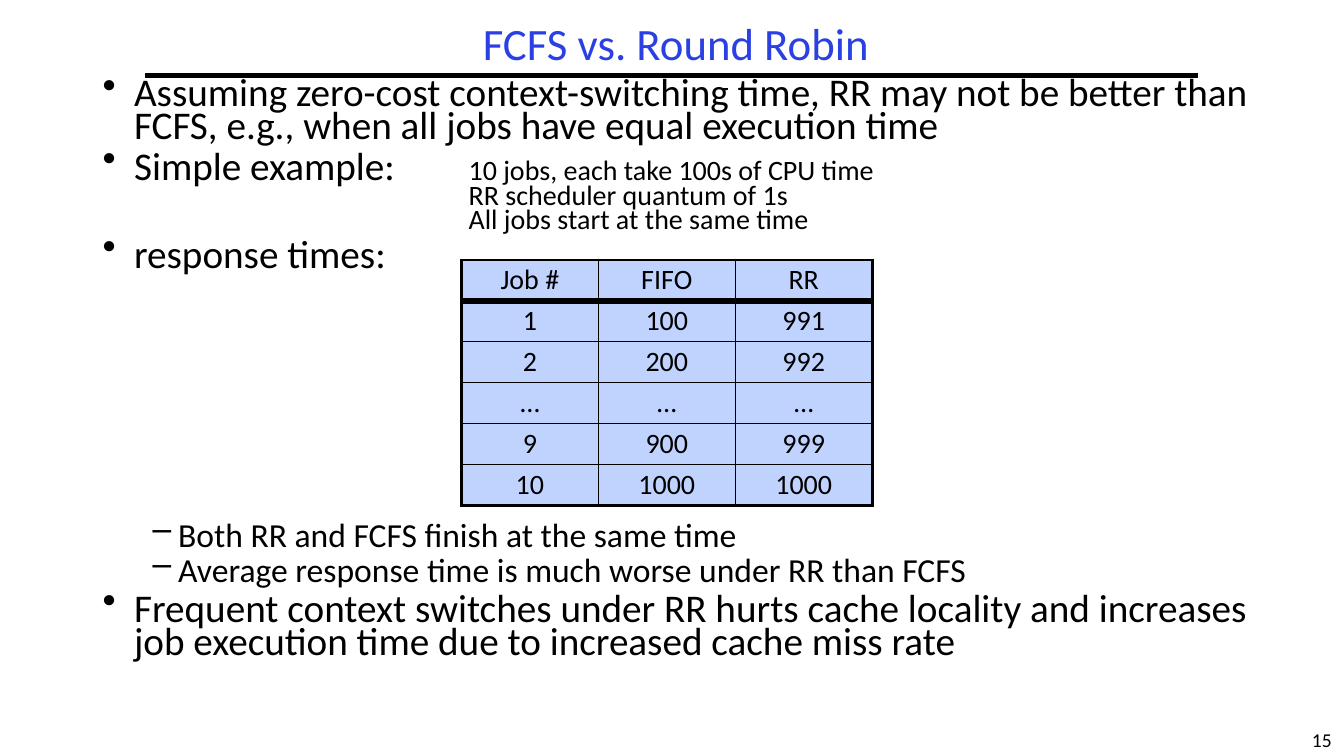
from pptx import Presentation
from pptx.dml.color import RGBColor
from pptx.enum.shapes import MSO_CONNECTOR
from pptx.enum.text import MSO_ANCHOR, PP_ALIGN
from pptx.oxml import parse_xml
from pptx.oxml.ns import nsdecls
from pptx.util import Cm, Pt

BLACK = RGBColor(0x00, 0x00, 0x00)
BLUE = RGBColor(0x2A, 0x40, 0xE2)
PALE = RGBColor(0xC0, 0xD2, 0xFE)
FONT = "Calibri"
THIN, EDGE, HEAD = 1, 2.25, 4.5


class Deck:
    """Holds the text style and the current slide."""

    def __init__(self, slide, font=FONT, color=BLACK):
        self.slide, self.font, self.color = slide, font, color

    def run(self, para, text, size, color=None):
        run = para.add_run()
        run.text = text
        run.font.name = self.font
        run.font.size = Pt(size)
        run.font.color.rgb = color or self.color

    def box(self, left, top, width, height, wrap=True):
        area = [Cm(v) for v in (left, top, width, height)]
        frame = self.slide.shapes.add_textbox(*area).text_frame
        frame.word_wrap = wrap
        return frame

    def label(self, text, place, size, color=None, wrap=True):
        frame = self.box(*place, wrap=wrap)
        frame.vertical_anchor = MSO_ANCHOR.MIDDLE if wrap else MSO_ANCHOR.TOP
        para = frame.paragraphs[0]
        para.alignment = PP_ALIGN.CENTER
        para.line_spacing = 0.9 if wrap else 1.0
        self.run(para, text, size, color)

    def rule(self, left, right, top, width):
        line = self.slide.shapes.add_connector(
            MSO_CONNECTOR.STRAIGHT, Cm(left), Cm(top), Cm(right), Cm(top))
        line.line.color.rgb = self.color
        line.line.width = Pt(width)
        line._element.spPr.append(parse_xml(f"<a:effectLst {nsdecls('a')}/>"))

    def bullet(self, para, text, level, gap, notes=()):
        mark, left, hang, size = (("•", 0.79, 0.79, 28), ("–", 1.9, 0.64, 24))[level]
        props = para._p.get_or_add_pPr()
        props.set("marL", str(Cm(left)))
        props.set("indent", str(-Cm(hang)))
        for xml in (f'<a:buChar {nsdecls("a")} char="{mark}"/>',
                    f'<a:tabLst {nsdecls("a")}><a:tab pos="{Cm(9.22)}" algn="l"/></a:tabLst>'):
            props.append(parse_xml(xml))
        para.level = level
        para.line_spacing = 0.7
        para.space_before = Pt(gap)
        self.run(para, text, size)
        for i, note in enumerate(notes):
            if i:
                para.add_line_break()
            self.run(para, "\t" + note, 20)

    def bullets(self, place, items):
        frame = self.box(*place)
        for i, item in enumerate(items):
            para = frame.add_paragraph() if i else frame.paragraphs[0]
            self.bullet(para, *item)

    def border(self, cell, widths):
        props = cell._tc.get_or_add_tcPr()
        for side, width in zip("LRTB", widths):
            props.append(parse_xml(
                f'<a:ln{side} {nsdecls("a")} w="{Pt(width)}"><a:solidFill>'
                f'<a:srgbClr val="{self.color}"/></a:solidFill></a:ln{side}>'))

    def table(self, left, top, wide, high, rows):
        down, across = len(rows), len(rows[0])
        grid = self.slide.shapes.add_table(
            down, across, Cm(left), Cm(top), Cm(wide * across), Cm(high * down)).table
        grid.first_row = grid.horz_banding = False
        # Outer edges are heavier, the line under the header heaviest
        cols = [EDGE] + [THIN] * (across - 1) + [EDGE]
        lines = [EDGE, HEAD] + [THIN] * (down - 2) + [EDGE]
        for r, row in enumerate(rows):
            for c, text in enumerate(row):
                cell = grid.cell(r, c)
                self.border(cell, cols[c:c + 2] + lines[r:r + 2])
                cell.fill.solid()
                cell.fill.fore_color.rgb = PALE
                cell.vertical_anchor = MSO_ANCHOR.MIDDLE
                para = cell.text_frame.paragraphs[0]
                para.alignment = PP_ALIGN.CENTER
                para.line_spacing = 0.9
                self.run(para, text, 20)


def main():
    show = Presentation()
    show.slide_width, show.slide_height = Cm(33.87), Cm(19.05)
    deck = Deck(show.slides.add_slide(show.slide_layouts[6]))

    # Page number, rule and title
    deck.label("15", (32.77, 18.21, 1.09, 0.84), 14, wrap=False)
    deck.rule(3.66, 30.2, 1.9, 3)
    deck.label("FCFS vs. Round Robin", (4.65, 0.43, 24.77, 1.47), 32, BLUE)

    # Points: text, level, space before, tabbed notes
    deck.bullets((2.34, 1.9, 30.05, 17.15), [
        ("Assuming zero-cost context-switching time, RR may not be better than "
         "FCFS, e.g., when all jobs have equal execution time", 0, 0),
        ("Simple example:", 0, 5.6, (
            "10 jobs, each take 100s of CPU time",
            "RR scheduler quantum of 1s",
            "All jobs start at the same time")),
        ("response times:", 0, 5.6),
        ("Both RR and FCFS finish at the same time", 1, 178.5),
        ("Average response time is much worse under RR than FCFS", 1, 4.8),
        ("Frequent context switches under RR hurts cache locality and increases "
         "job execution time due to increased cache miss rate", 0, 5.6),
    ])

    # Response times
    deck.table(11.63, 6.55, 3.45, 1.03, [
        ("Job #", "FIFO", "RR"),
        ("1", "100", "991"),
        ("2", "200", "992"),
        ("…", "…", "…"),
        ("9", "900", "999"),
        ("10", "1000", "1000"),
    ])
    show.save("out.pptx")


if __name__ == "__main__":
    main()
